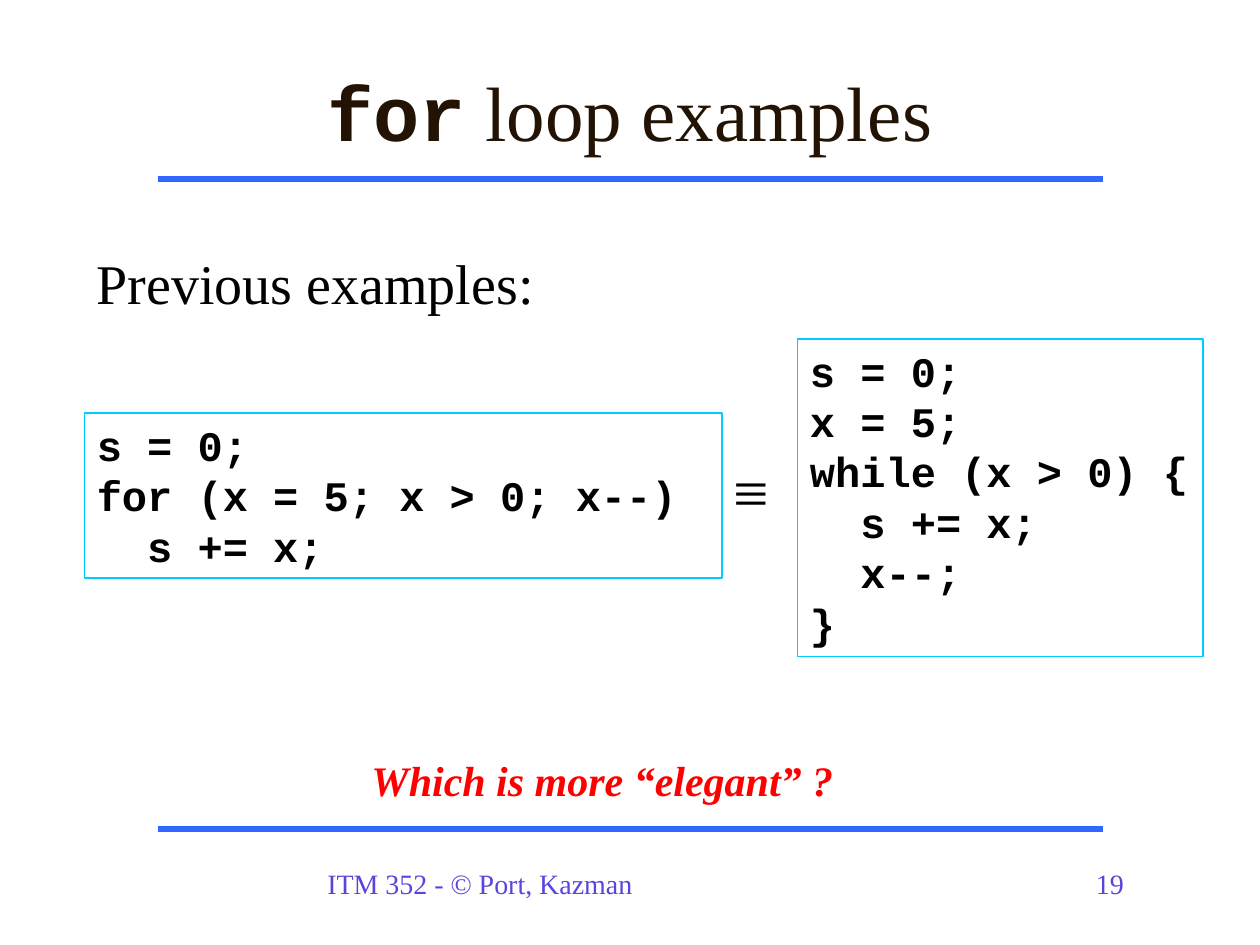
import pptx
import pptx.util
import pptx.dml.color
import pptx.enum.shapes
import pptx.enum.text
from pptx.util import Inches
from pptx.oxml.ns import qn
import lxml.etree

SERIF = "Times New Roman"
MONO = "Courier New"


def colour(hex_text):
    return pptx.dml.color.RGBColor.from_string(hex_text)


def format_span(span, size, ink, font=SERIF, bold=False, italic=False):
    span.font.name = font
    span.font.size = pptx.util.Pt(size)
    span.font.bold = bold
    span.font.italic = italic
    span.font.color.rgb = colour(ink)


def add_rule(page, left, top, width):
    rule = page.shapes.add_connector(
        pptx.enum.shapes.MSO_CONNECTOR.STRAIGHT, left, top, left + width, top)
    rule.line.color.rgb = colour("3366FF")
    rule.line.width = pptx.util.Pt(3)
    lxml.etree.SubElement(rule._element.spPr, qn("a:effectLst"))


def add_title(page, left, top, width, height):
    title = page.shapes.title
    title.left, title.top, title.width, title.height = left, top, width, height
    frame = title.text_frame
    frame.vertical_anchor = pptx.enum.text.MSO_ANCHOR.MIDDLE
    para = frame.paragraphs[0]
    para.alignment = pptx.enum.text.PP_ALIGN.CENTER
    for words, font, bold in (("for", MONO, True), (" loop examples", SERIF, False)):
        span = para.add_run()
        span.text = words
        format_span(span, 44, "221304", font, bold)


def add_label(page, left, top, width, height, words, size, ink, wrap=True, **style):
    box = page.shapes.add_textbox(left, top, width, height)
    box.text_frame.word_wrap = wrap
    box.text_frame.text = words
    format_span(box.text_frame.paragraphs[0].runs[0], size, ink, **style)


def add_code(page, left, top, width, height, code, wrap=True):
    box = page.shapes.add_shape(
        pptx.enum.shapes.MSO_SHAPE.RECTANGLE, left, top, width, height)
    box.shadow.inherit = False
    box.fill.background()
    box.line.color.rgb = colour("00CCFF")
    box.line.width = pptx.util.Pt(1)
    frame = box.text_frame
    frame.word_wrap = wrap
    frame.vertical_anchor = pptx.enum.text.MSO_ANCHOR.TOP
    frame.text = code
    for para in frame.paragraphs:
        para.alignment = pptx.enum.text.PP_ALIGN.LEFT
        format_span(para.runs[0], 24, "000000", MONO, bold=True)


def main():
    deck = pptx.Presentation()
    deck.slide_width, deck.slide_height = Inches(10), Inches(7.5)
    page = deck.slides.add_slide(deck.slide_layouts[5])

    # Rules and footer
    for top in (1.42, 6.58):
        add_rule(page, Inches(1.25), Inches(top), Inches(7.5))
    for left, width, words in ((2.5, 4.17, "ITM 352 - © Port, Kazman"), (8.6, 0.74, "19")):
        add_label(page, Inches(left), Inches(6.83), Inches(width), Inches(0.37),
                  words, 16, "5745DD")

    # Title and introduction
    add_title(page, Inches(0.75), Inches(0.25), Inches(8.5), Inches(1.25))
    add_label(page, Inches(0.67), Inches(1.92), Inches(8.5), Inches(0.83),
              "Previous examples:", 32, "000000")

    # Equivalent loops
    add_code(page, Inches(6.33), Inches(2.69), Inches(3.22), Inches(2.52),
             "s = 0;\nx = 5;\nwhile (x > 0) {\n  s += x;\n  x--;\n}", wrap=False)
    add_code(page, Inches(0.67), Inches(3.28), Inches(5.06), Inches(1.31),
             "s = 0;\nfor (x = 5; x > 0; x--)\n  s += x;")
    add_label(page, Inches(5.72), Inches(3.54), Inches(0.48), Inches(0.7),
              "≡", 36, "000000", wrap=False)

    # Closing question
    add_label(page, Inches(2.85), Inches(5.94), Inches(3.9), Inches(0.51),
              "Which is more “elegant” ?", 24, "FF0000", wrap=False,
              bold=True, italic=True)

    deck.save("out.pptx")


if __name__ == "__main__":
    main()
